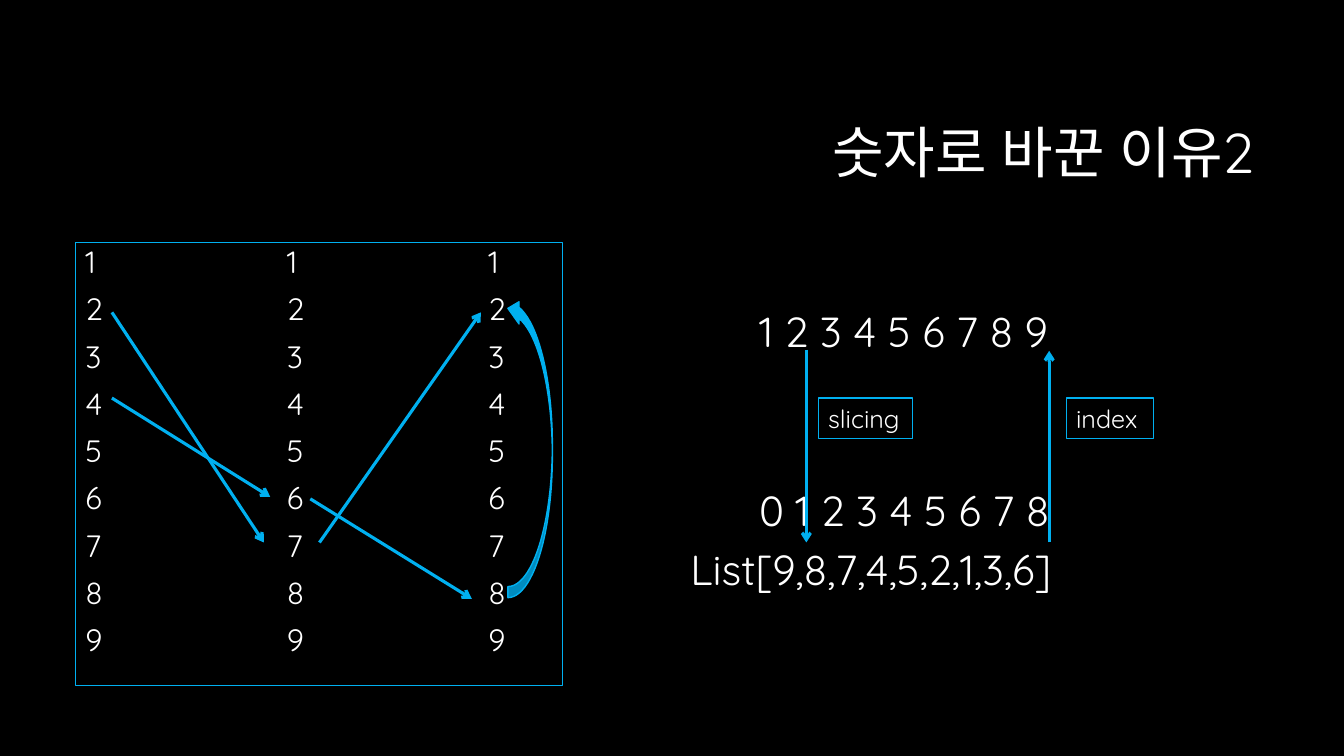
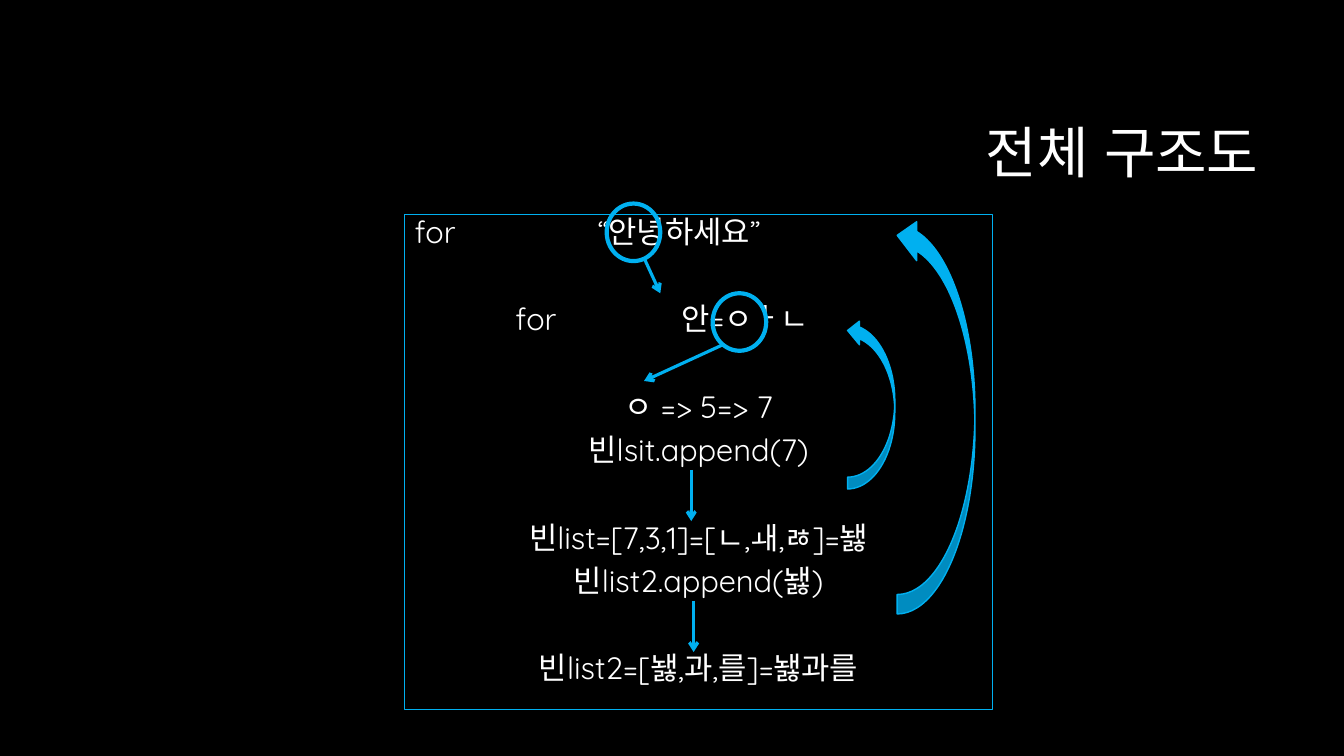
"""Build two dark slides that explain a number cipher and its loop structure."""
from dataclasses import dataclass

from lxml.etree import SubElement
from pptx import Presentation
from pptx.dml.color import RGBColor
from pptx.enum.shapes import MSO_CONNECTOR as Connector, MSO_SHAPE as Preset
from pptx.enum.text import MSO_ANCHOR as Anchor, PP_ALIGN as Align
from pptx.oxml.ns import qn
from pptx.util import Cm, Pt

COLORS = {"background": "000000", "text": "FFFFFF", "accent": "00B0F0"}
FONT = "Quicksand"
GAP = 10.0


@dataclass(frozen=True)
class Box:
    left: float
    top: float
    width: float
    height: float

    def lengths(self) -> tuple:
        return tuple(Cm(value) for value in (self.left, self.top, self.width, self.height))


@dataclass(frozen=True)
class Row:
    text: str
    gap: float = GAP
    align: Align = Align.LEFT
    indent: float = 0
    tabs: tuple[float, ...] = ()


@dataclass(frozen=True)
class Arrow:
    start: tuple[float, float]
    end: tuple[float, float]


@dataclass(frozen=True)
class Label:
    text: str
    box: Box


def color(name: str) -> RGBColor:
    return RGBColor.from_string(COLORS[name])


def add_outline(slide, preset: Preset, box: Box, weight: float, *, filled: bool = False):
    shape = slide.shapes.add_shape(preset, *box.lengths())
    shape.shadow.inherit = False
    if filled:
        shape.fill.solid()
        shape.fill.fore_color.rgb = color("accent")
    else:
        shape.fill.background()
    shape.line.color.rgb = color("accent")
    shape.line.width = Pt(weight)
    return shape


def write_text(shape, rows: list[Row], *, size: float, spacing: float = 1.0,
               anchor: Anchor = Anchor.TOP) -> None:
    frame = shape.text_frame
    frame.word_wrap = True
    frame.vertical_anchor = anchor
    for index, row in enumerate(rows):
        paragraph = frame.add_paragraph() if index else frame.paragraphs[0]
        paragraph.alignment = row.align
        paragraph.line_spacing = spacing
        paragraph.space_before = Pt(row.gap if index else 0)
        properties = paragraph._p.get_or_add_pPr()
        if row.indent:
            properties.set("marL", str(Cm(row.indent)))
        if row.tabs:
            stops = SubElement(properties, qn("a:tabLst"))
            for position in row.tabs:
                SubElement(stops, qn("a:tab"), pos=str(Cm(position)), algn="l")
        run = paragraph.add_run()
        run.text = row.text
        run.font.size = Pt(size)
        run.font.color.rgb = color("text")
        run.font.name = FONT
        SubElement(run.font._element, qn("a:ea"), typeface=FONT)


def add_arrow(slide, arrow: Arrow) -> None:
    points = [Cm(value) for value in (*arrow.start, *arrow.end)]
    connector = slide.shapes.add_connector(Connector.STRAIGHT, *points)
    connector.line.color.rgb = color("accent")
    connector.line.width = Pt(2.25)
    SubElement(connector.line._get_or_add_ln(), qn("a:tailEnd"), type="arrow")
    SubElement(connector._element.spPr, qn("a:effectLst"))


def add_return_arrow(slide, box: Box) -> None:
    shape = add_outline(slide, Preset.CURVED_RIGHT_ARROW, box, 1, filled=True)
    shape.rotation = 180


def add_panel(slide, box: Box, rows: list[Row], *, size: float,
              spacing: float = 1.0) -> None:
    panel = add_outline(slide, Preset.RECTANGLE, box, 0.75)
    write_text(panel, rows, size=size, spacing=spacing)


def add_titled_slide(presentation, title: str, left: float):
    slide = presentation.slides.add_slide(presentation.slide_layouts[6])
    title_box = slide.shapes.add_textbox(*Box(left, 2.13, 23.93, 3.58).lengths())
    write_text(title_box, [Row(title, align=Align.RIGHT)], size=40, spacing=0.9,
               anchor=Anchor.MIDDLE)
    return slide


def build_number_slide(presentation) -> None:
    slide = add_titled_slide(presentation, "숫자로 바꾼 이유2", left=7.93)
    columns = [Row("\t".join([str(digit)] * 3), tabs=(5.08, 10.16)) for digit in range(1, 10)]
    add_panel(slide, Box(1.9, 6.1, 12.27, 11.18), columns, size=22, spacing=0.9)

    list_box = slide.shapes.add_textbox(*Box(17.15, 7.72, 14.81, 9.56).lengths())
    list_rows = [
        Row("1 2 3 4 5 6 7 8 9", indent=1.73),
        Row("0 1 2 3 4 5 6 7 8", gap=95.5, indent=1.73),
        Row("List[9,8,7,4,5,2,1,3,6]"),
    ]
    write_text(list_box, list_rows, size=30, spacing=0.9)

    for arrow in (
        Arrow((8.05, 13.67), (12.12, 7.87)),
        Arrow((7.82, 12.57), (11.89, 15.09)),
        Arrow((2.82, 7.87), (6.65, 13.67)),
        Arrow((2.82, 10.03), (6.81, 12.52)),
        Arrow((20.32, 8.81), (20.32, 13.67)),
        Arrow((26.44, 13.67), (26.44, 8.84)),
    ):
        add_arrow(slide, arrow)
    add_return_arrow(slide, Box(12.8, 7.49, 1.12, 7.57))

    for label in (
        Label("slicing", Box(20.62, 10.03, 2.39, 1.02)),
        Label("index", Box(26.87, 10.03, 2.21, 1.02)),
    ):
        add_panel(slide, label.box, [Row(label.text)], size=18)


def build_structure_slide(presentation) -> None:
    slide = add_titled_slide(presentation, "전체 구조도", left=8.03)
    wide_gap = GAP + 31.3
    steps = [
        Row("for\t“안녕하세요”", tabs=(4.62,)),
        Row("\tfor\t안=ㅇㅏㄴ", gap=wide_gap, tabs=(2.54, 6.72)),
        Row("ㅇ => 5=> 7", gap=wide_gap, align=Align.CENTER),
        Row("빈lsit.append(7)", align=Align.CENTER),
        Row("빈list=[7,3,1]=[ㄴ,ㅙ,ㅀ]=놿", gap=wide_gap, align=Align.CENTER),
        Row("빈list2.append(놿)", align=Align.CENTER),
        Row("빈list2=[놿,과,를]=놿과를", gap=wide_gap, align=Align.CENTER),
    ]
    add_panel(slide, Box(10.2, 5.41, 14.81, 12.47), steps, size=22, spacing=0.8)

    for left, top in ((15.29, 5.13), (17.96, 7.39)):
        add_outline(slide, Preset.OVAL, Box(left, top, 1.35, 1.45), 3)
    for arrow in (
        Arrow((16.23, 6.5), (16.64, 7.39)),
        Arrow((18.21, 8.69), (16.23, 9.6)),
        Arrow((17.42, 11.84), (17.42, 13.13)),
        Arrow((17.48, 15.14), (17.48, 16.43)),
    ):
        add_arrow(slide, arrow)
    for box in (Box(21.36, 8.03, 1.19, 4.29), Box(22.61, 5.44, 1.96, 10.03)):
        add_return_arrow(slide, box)


def main() -> None:
    presentation = Presentation()
    presentation.slide_width = Cm(33.87)
    presentation.slide_height = Cm(19.05)
    background = presentation.slide_master.background.fill
    background.solid()
    background.fore_color.rgb = color("background")
    build_number_slide(presentation)
    build_structure_slide(presentation)
    presentation.save("out.pptx")


if __name__ == "__main__":
    main()
